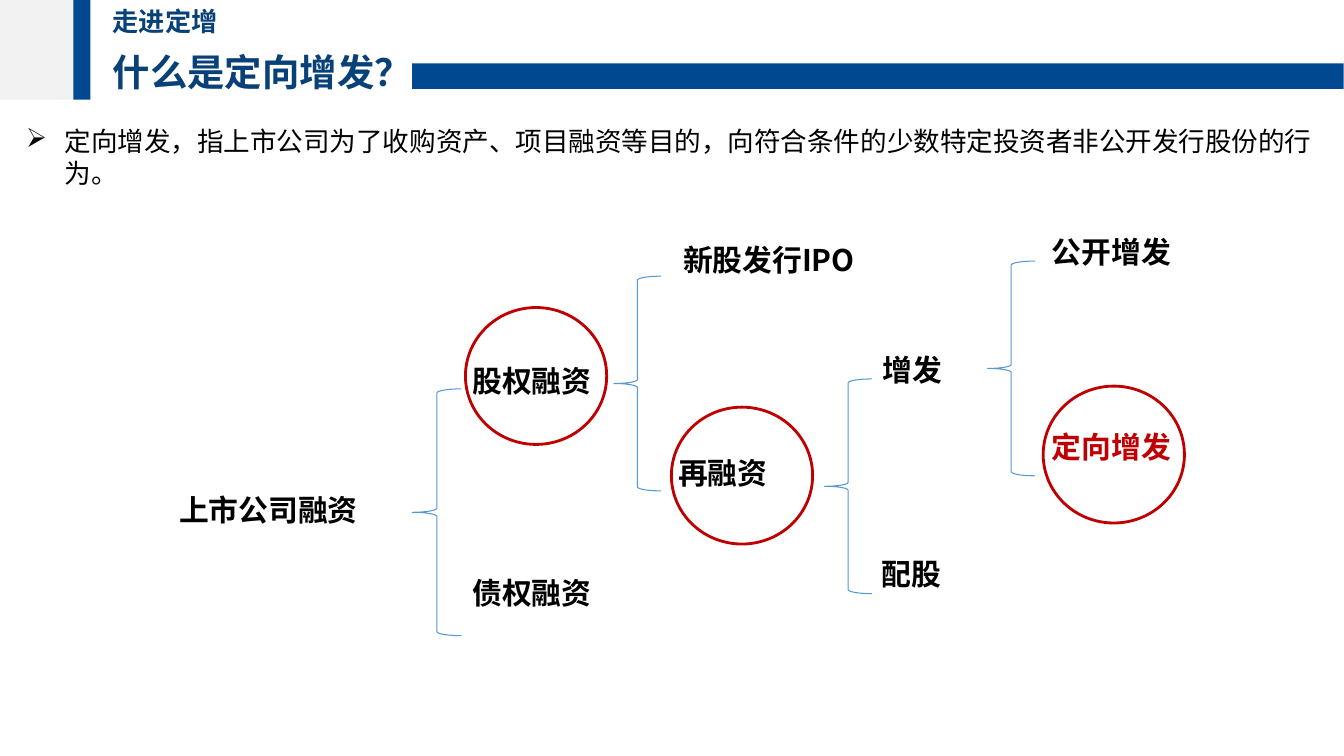
"""Build a slide that explains private placement with a financing tree."""
from lxml import etree
from pptx import Presentation
from pptx.dml.color import RGBColor
from pptx.enum.shapes import MSO_SHAPE
from pptx.enum.text import MSO_AUTO_SIZE, PP_ALIGN
from pptx.oxml.ns import qn
from pptx.util import Cm, Pt

RECT, BRACE, OVAL = MSO_SHAPE.RECTANGLE, MSO_SHAPE.LEFT_BRACE, MSO_SHAPE.OVAL
LEFT, CENTER = PP_ALIGN.LEFT, PP_ALIGN.CENTER
FIT = MSO_AUTO_SIZE.SHAPE_TO_FIT_TEXT

FONT = "Noto Sans CJK SC"
COLORS = {"gray": "F2F2F2", "blue": "004990", "title": "084078",
          "brace": "5698D3", "red": "C00000", "black": "000000"}

SECTION = "走进定增"
TITLE = "什么是定向增发？"
DEFINITION = ("定向增发，指上市公司为了收购资产、项目融资等目的，"
              "向符合条件的少数特定投资者非公开发行股份的行为。")

BARS = [((0, 0, 1.85, 2.51), "gray"),
        ((1.85, 0, 0.43, 2.51), "blue"),
        ((10.39, 1.6, 23.47, 0.64), "blue")]

LABEL_HEIGHT = 1.17
LABELS = [("上市公司融资", 3.12, 12.27, 7.29, {"align": CENTER}),
          ("股权融资", 11.66, 9.02, 3.56, {}),
          ("债权融资", 11.66, 14.35, 3.56, {}),
          ("新股发行IPO", 16.97, 5.97, 5.31, {}),
          ("再融资", 16.84, 11.33, 5.31, {}),
          ("增发", 22, 8.74, 3.89, {}),
          ("配股", 21.97, 13.87, 3.3, {}),
          ("公开增发", 26.26, 5.77, 3.73, {}),
          ("定向增发", 26.26, 10.69, 3.73, {"color": "red"})]

ROOT_BRACE = (10.39, 9.8, 1.24, 6.22)
BRACE_SIZE = (1.19, 5.41)
BRACE_SPOTS = [(15.47, 6.96), (20.78, 9.55), (24.89, 6.58)]

CIRCLE_SIZE = (3.56, 3.45)
CIRCLE_SPOTS = [(11.73, 7.75), (16.92, 10.26), (26.29, 9.73)]


def rgb(name):
    return RGBColor.from_string(COLORS[name])


def add_shape(s, kind, box, fill=None, line=None, width=0.75):
    sp = s.shapes.add_shape(kind, *map(Cm, box))
    sp.shadow.inherit = False
    if fill:
        sp.fill.solid()
        sp.fill.fore_color.rgb = rgb(fill)
    else:
        sp.fill.background()
    if line:
        sp.line.color.rgb = rgb(line)
        sp.line.width = Pt(width)
    else:
        sp.line.fill.background()


def add_text(s, text, box, size=21.3, color="black", bold=True,
             align=LEFT, wrap=True, bullet=None, indent=0.97):
    sp = s.shapes.add_textbox(*map(Cm, box))
    tf = sp.text_frame
    tf.word_wrap = wrap
    tf.auto_size = FIT
    p = tf.paragraphs[0]
    p.alignment = align
    r = p.add_run()
    r.text = text
    r.font.size, r.font.bold, r.font.name = Pt(size), bold, FONT
    r.font.color.rgb = rgb(color)
    etree.SubElement(r.font._element, qn("a:ea"), typeface=FONT)
    if bullet:
        pPr = p._p.get_or_add_pPr()
        pPr.set("marL", str(Cm(indent)))
        pPr.set("indent", str(-Cm(indent)))
        etree.SubElement(pPr, qn("a:buChar"), char=bullet)


def main():
    prs = Presentation()
    prs.slide_width, prs.slide_height = Cm(33.87), Cm(19.05)
    s = prs.slides.add_slide(prs.slide_layouts[6])

    for box, fill in BARS:
        add_shape(s, RECT, box, fill=fill)
    add_text(s, SECTION, (2.59, 0, 3.18, 1.07), size=18.7, color="title", wrap=False)
    add_text(s, TITLE, (2.59, 1.12, 8.13, 1.4), size=26.7, color="title", wrap=False)

    for box in [ROOT_BRACE] + [spot + BRACE_SIZE for spot in BRACE_SPOTS]:
        add_shape(s, BRACE, box, line="brace")
    for text, left, top, width, style in LABELS:
        add_text(s, text, (left, top, width, LABEL_HEIGHT), **style)
    for spot in CIRCLE_SPOTS:
        add_shape(s, OVAL, spot + CIRCLE_SIZE, line="red", width=2)

    add_text(s, DEFINITION, (0.41, 3.02, 33.1, 1.88), size=19, bold=False, bullet="➢")
    prs.save("out.pptx")


if __name__ == "__main__":
    main()
